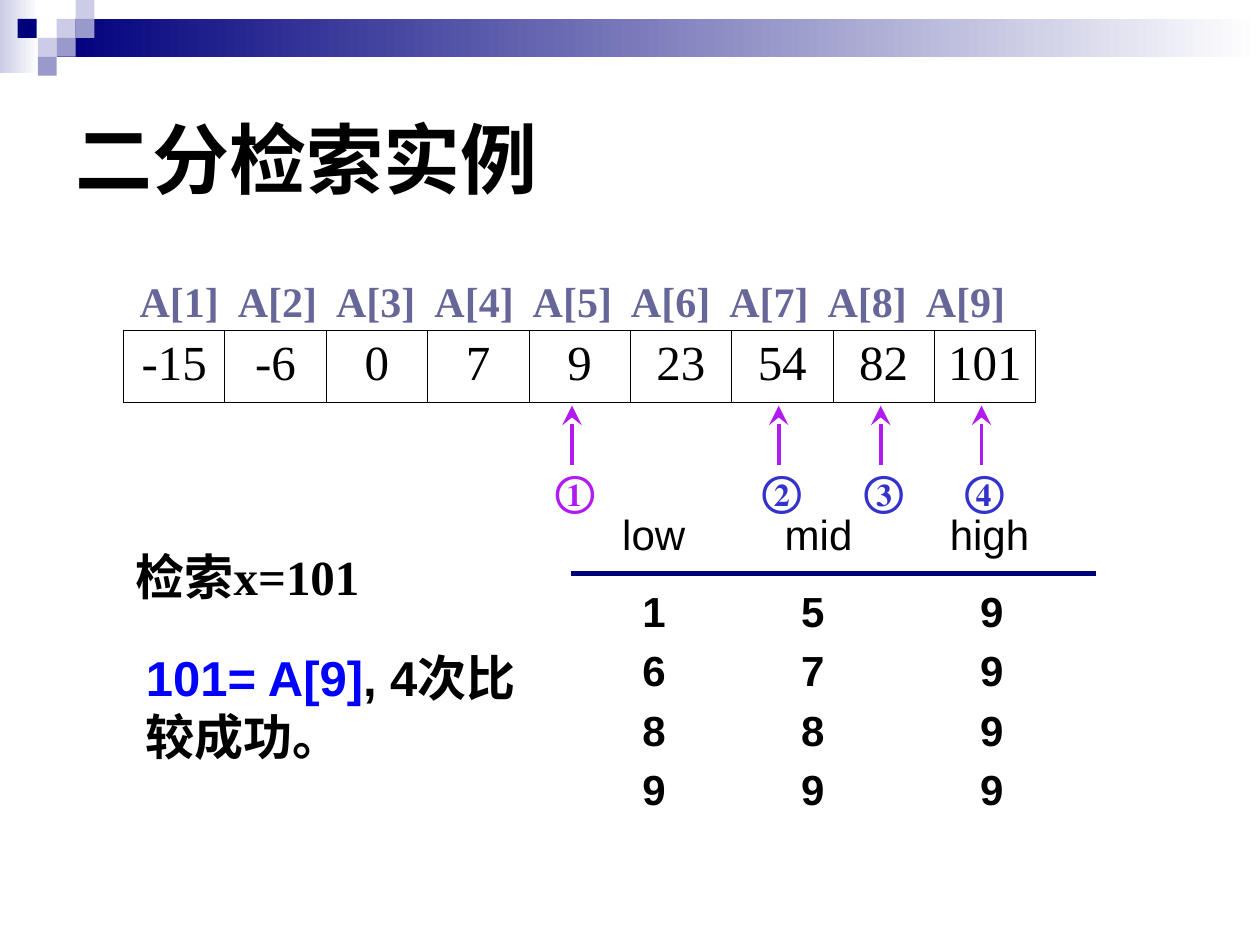
from dataclasses import dataclass

from lxml import etree
from pptx import Presentation
from pptx.dml.color import RGBColor
from pptx.enum import shapes, text
from pptx.oxml import ns
from pptx.util import Inches, Pt


@dataclass(frozen=True)
class Theme:
    navy: str = "00007D"
    lilac: str = "CCCCE6"
    lavender: str = "9999CC"
    white: str = "FFFFFF"
    black: str = "000000"
    index: str = "666699"
    arrow: str = "B21BEF"
    step: str = "3333CC"
    result: str = "0000FF"
    sans: str = "Arial"
    serif: str = "Times New Roman"
    title: int = 44
    body: int = 28
    label: int = 24


THEME = Theme()


def add_xml(parent, tag, **attributes):
    return etree.SubElement(parent, ns.qn(tag), attributes)


def write(paragraph, content, size=THEME.label, font=THEME.sans,
          color=THEME.black, bold=False):
    run = paragraph.add_run()
    run.text = content
    run.font.size = Pt(size)
    run.font.name = font
    run.font.bold = bold
    run.font.color.rgb = RGBColor.from_string(color)


class SlideBuilder:
    def __init__(self, slide, theme):
        self.slide = slide
        self.theme = theme

    def rect(self, left, top, width, height, *colors):
        """Draw a borderless rectangle; two colours make a gradient."""
        block = self.slide.shapes.add_shape(
            shapes.MSO_SHAPE.RECTANGLE,
            *map(Inches, (left, top, width, height)))
        block.shadow.inherit = False
        block.line.fill.background()
        if len(colors) == 1:
            block.fill.solid()
            block.fill.fore_color.rgb = RGBColor.from_string(colors[0])
            return
        block.fill.gradient()
        block.fill.gradient_angle = 0
        for stop, color, position in zip(block.fill.gradient_stops, colors, (0, 1)):
            stop.color.rgb = RGBColor.from_string(color)
            stop.position = position

    def text(self, left, top, width, height, *parts, spacing=None, tabs=(),
             anchor=text.MSO_ANCHOR.TOP, **style):
        """Each part is a (text, colour) pair in the same paragraph."""
        box = self.slide.shapes.add_textbox(
            *map(Inches, (left, top, width, height)))
        frame = box.text_frame
        frame.word_wrap = True
        frame.vertical_anchor = anchor
        paragraph = frame.paragraphs[0]
        if spacing:
            paragraph.line_spacing = spacing
        if tabs:
            stops = add_xml(paragraph._p.get_or_add_pPr(), "a:tabLst")
            for position in tabs:
                add_xml(stops, "a:tab", pos=str(Inches(position)), algn="l")
        for content, color in parts:
            write(paragraph, content, color=color, **style)

    def line(self, start, end, color, width, arrow=False):
        connector = self.slide.shapes.add_connector(
            shapes.MSO_CONNECTOR.STRAIGHT, *map(Inches, start + end))
        connector.line.color.rgb = RGBColor.from_string(color)
        connector.line.width = Pt(width)
        if arrow:
            add_xml(connector.line._get_or_add_ln(), "a:tailEnd",
                    type="stealth", w="lg", len="lg")
        add_xml(connector._element.spPr, "a:effectLst")

    def array_table(self, left, top, width, height, values):
        table = self.slide.shapes.add_table(
            1, len(values), *map(Inches, (left, top, width, height))).table
        table.first_row = table.horz_banding = False
        for cell, value in zip(table.iter_cells(), values):
            self.cell_borders(cell, 0.45)
            cell.fill.background()
            paragraph = cell.text_frame.paragraphs[0]
            paragraph.alignment = text.PP_ALIGN.CENTER
            write(paragraph, str(value), self.theme.body, self.theme.serif)

    def cell_borders(self, cell, width):
        properties = cell._tc.get_or_add_tcPr()
        for side in ("a:lnL", "a:lnR", "a:lnT", "a:lnB"):
            border = add_xml(properties, side, w=str(Pt(width)))
            fill = add_xml(border, "a:solidFill")
            add_xml(fill, "a:srgbClr", val=self.theme.black)

    def comparison(self, x, number, color):
        """Arrow up to a compared element, with the step number below."""
        self.line((x, 3.69), (x, 3.22), self.theme.arrow, 2.25, arrow=True)
        self.text(x - 0.23, 3.64, 0.44, 0.5, (number, color),
                  font=self.theme.serif, bold=True)


def draw_banner(page, theme):
    page.rect(0, 0, 0.31, 0.58, theme.lilac, theme.white)
    page.rect(0.45, 0.15, 9.55, 0.3, theme.navy, theme.white)
    for left, top, color in (
            (0.45, 0.15, theme.lilac), (0.6, 0, theme.lilac),
            (0.6, 0.15, theme.lavender), (0.3, 0.3, theme.lilac),
            (0.14, 0.15, theme.navy), (0.45, 0.3, theme.lavender),
            (0.3, 0.45, theme.lavender)):
        page.rect(left, top, 0.15, 0.15, color)


def draw_array(page, theme):
    values = (-15, -6, 0, 7, 9, 23, 54, 82, 101)
    page.array_table(0.98, 2.62, 7.24, 0.57, values)
    indices = "\t".join(f"A[{i}]" for i in range(1, len(values) + 1))
    page.text(1.01, 2.18, 7.23, 0.46, (indices, theme.index),
              tabs=[0.78 * i for i in range(1, len(values))],
              spacing=0.9, font=theme.serif, bold=True)
    for x, number, color in ((4.54, "①", theme.arrow), (6.18, "②", theme.step),
                             (6.99, "③", theme.step), (7.79, "④", theme.step)):
        page.comparison(x, number, color)


def draw_trace(page, theme):
    """Show low, mid and high for every step of the search."""
    columns = (("low", 4.84, 5, (1, 6, 8, 9)),
               ("mid", 6.13, 6.26, (5, 7, 8, 9)),
               ("high", 7.44, 7.68, (9, 9, 9, 9)))
    for heading, heading_left, values_left, values in columns:
        page.text(heading_left, 3.99, 0.9, 0.5, (heading, theme.black))
        for step, value in enumerate(values):
            page.text(values_left, 4.6 + 0.47 * step, 0.63, 0.5,
                      (str(value), theme.black), bold=True)
    page.line((4.53, 4.55), (8.7, 4.55), theme.navy, 3)


def main():
    deck = Presentation()
    deck.slide_width, deck.slide_height = Inches(10), Inches(7.5)
    page = SlideBuilder(deck.slides.add_slide(deck.slide_layouts[6]), THEME)

    draw_banner(page, THEME)
    page.text(0.5, 0.5, 9, 1.5, ("二分检索实例", THEME.black),
              anchor=text.MSO_ANCHOR.MIDDLE, size=THEME.title, bold=True)
    draw_array(page, THEME)
    page.text(0.98, 4.38, 2.44, 0.48, ("检索x=101", THEME.black),
              spacing=0.8, size=THEME.body, font=THEME.serif, bold=True)
    page.text(1.06, 5.09, 3.15, 1.04, ("101= A[9]", THEME.result),
              (", 4次比较成功。", THEME.black), size=THEME.body, bold=True)
    draw_trace(page, THEME)
    deck.save("out.pptx")


if __name__ == "__main__":
    main()
